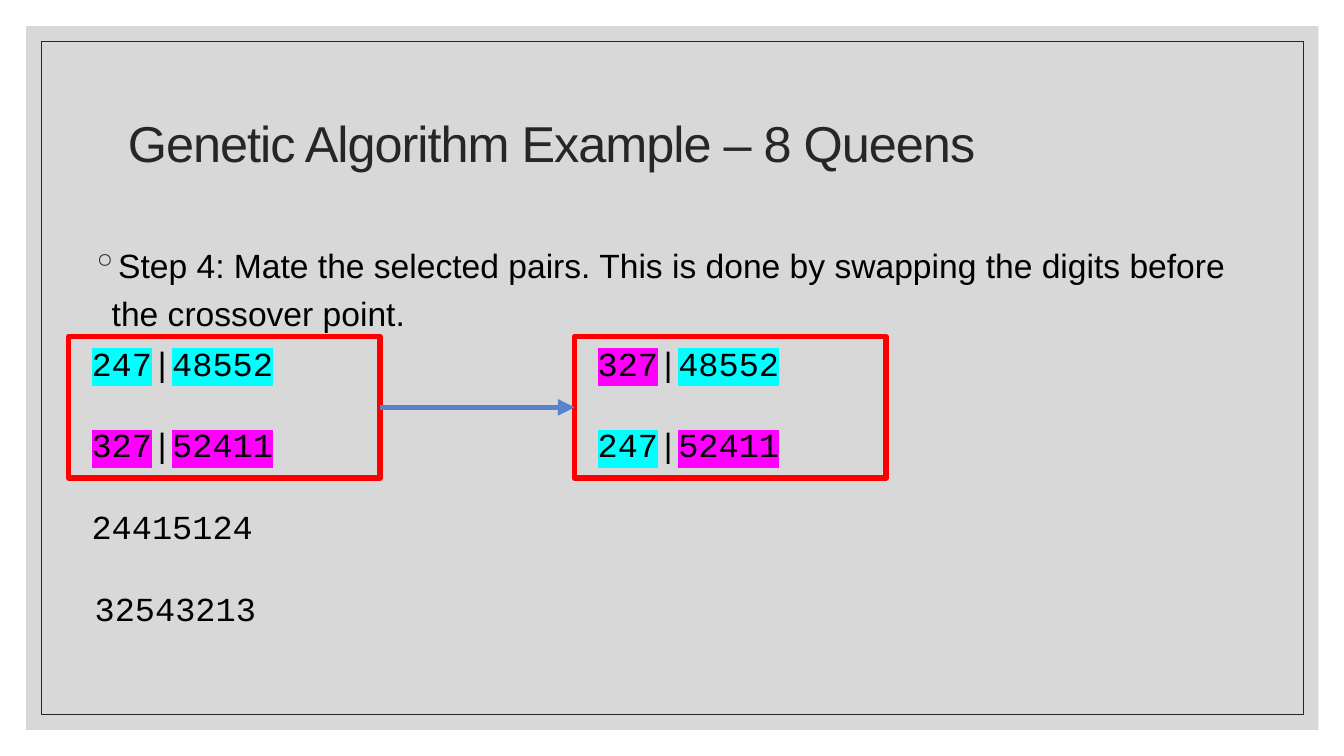
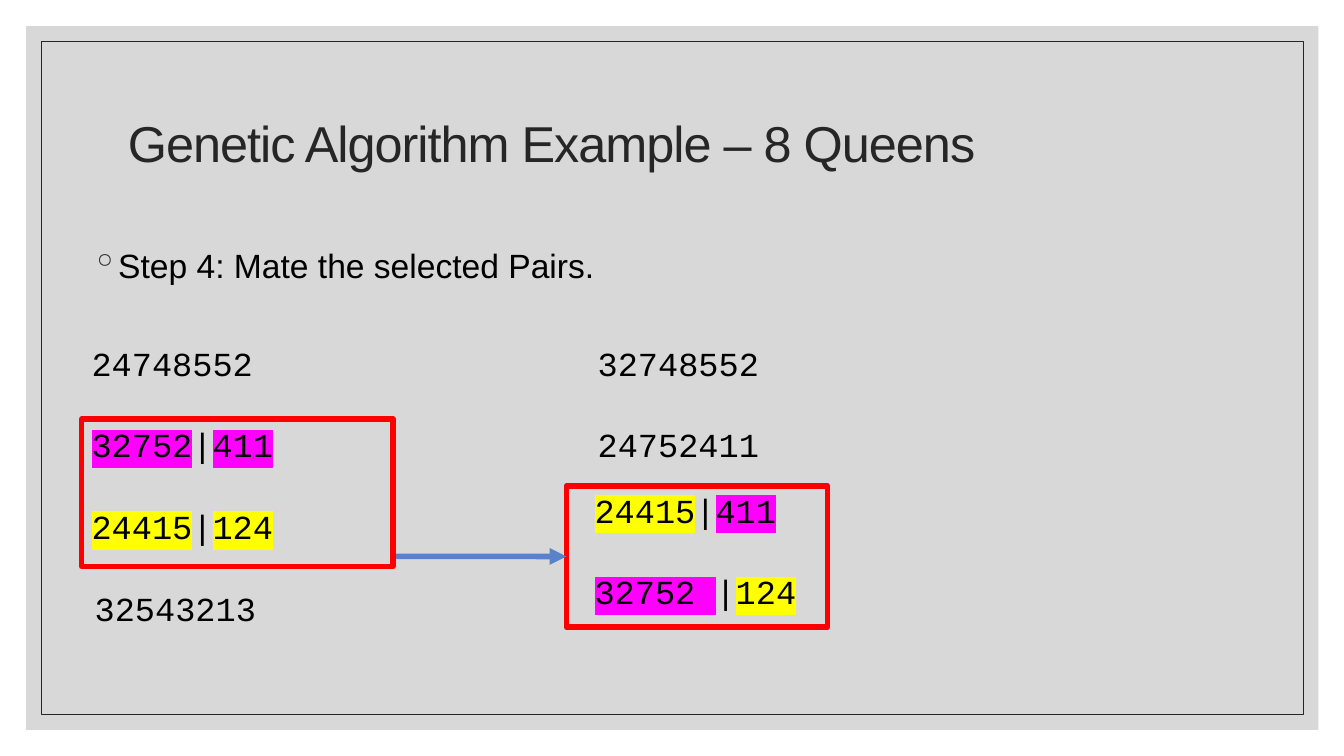
from dataclasses import dataclass
from typing import Any, Optional

import pptx
import pptx.dml.color
import pptx.enum.shapes
import pptx.enum.text
import pptx.oxml
import pptx.oxml.ns
import pptx.util
from pptx.util import Pt


@dataclass(frozen=True)
class Theme:
    ink: str = "262626"
    black: str = "000000"
    panel: str = "BFBFBF"
    red: str = "FF0000"
    arrow: str = "5A82CB"
    cyan: str = "00FFFF"
    magenta: str = "FF00FF"
    yellow: str = "FFFF00"
    sans: str = "Arial"
    mono: str = "Courier New"
    title_size: float = 36
    text_size: float = 24
    heavy_line: float = 4


THEME = Theme()
TITLE = "Genetic Algorithm Example – 8 Queens"
PARENT_LEFT, CHILD_LEFT = 58.3, 419.8
FIRST_ROW, ROW_PITCH = 241.2, 58.3
CHAR_WIDTH, INSETS, ROW_HEIGHT = 14.4, 15.8, 36


@dataclass(frozen=True)
class Segment:
    text: str
    highlight: Optional[str] = None


@dataclass(frozen=True)
class Genes:
    left: float
    top: float
    segments: tuple[Segment, ...]


@dataclass(frozen=True)
class Frame:
    left: float
    top: float
    width: float
    height: float


@dataclass(frozen=True)
class Step:
    text: str
    genes: tuple[Genes, ...]
    parents: Frame
    children: Frame
    arrow_start: Optional[tuple[float, float]] = None  # None: middle of the parents' side


def row(index: int) -> float:
    return FIRST_ROW + index * ROW_PITCH


def plain(left: float, top: float, digits: str) -> Genes:
    return Genes(left, top, (Segment(digits),))


def crossed(left: float, top: float, head: str, head_color: str,
            tail: str, tail_color: str) -> Genes:
    """Digits split by a crossover bar, each side in its own highlight."""
    return Genes(left, top,
                 (Segment(head, head_color), Segment("|"), Segment(tail, tail_color)))


STEPS = (
    Step(
        "Step 4: Mate the selected pairs. This is done by swapping the digits "
        "before the crossover point.",
        (
            crossed(PARENT_LEFT, row(0), "247", THEME.cyan, "48552", THEME.cyan),
            crossed(PARENT_LEFT, row(1), "327", THEME.magenta, "52411", THEME.magenta),
            plain(PARENT_LEFT, row(2), "24415124"),
            plain(60.5, row(3), "32543213"),
            crossed(CHILD_LEFT, row(0), "327", THEME.magenta, "48552", THEME.cyan),
            crossed(CHILD_LEFT, row(1), "247", THEME.cyan, "52411", THEME.magenta),
        ),
        Frame(49, 240.5, 222.5, 101),
        Frame(410.4, 240.5, 222.5, 101),
    ),
    Step(
        "Step 4: Mate the selected Pairs.",
        (
            plain(PARENT_LEFT, row(0), "24748552"),
            crossed(PARENT_LEFT, row(1), "32752", THEME.magenta, "411", THEME.magenta),
            crossed(PARENT_LEFT, row(2), "24415", THEME.yellow, "124", THEME.yellow),
            plain(60.5, row(3), "32543213"),
            plain(CHILD_LEFT, row(0), "32748552"),
            plain(CHILD_LEFT, row(1), "24752411"),
            crossed(417.6, 346.3, "24415", THEME.yellow, "411", THEME.magenta),
            crossed(417.6, 346.3 + ROW_PITCH, "32752 ", THEME.magenta, "124", THEME.yellow),
        ),
        Frame(58.3, 299.5, 222.5, 105.1),
        Frame(404.6, 347, 186.5, 101),
        (283, 397.4),
    ),
)


def rgb(color: str) -> pptx.dml.color.RGBColor:
    return pptx.dml.color.RGBColor.from_string(color)


def add_child(parent: Any, tag: str, **attributes: str) -> Any:
    child = pptx.oxml.parse_xml(f"<a:{tag} {pptx.oxml.ns.nsdecls('a')}/>")
    for name, value in attributes.items():
        child.set(name, value)
    parent.append(child)
    return child


def write(para: Any, text: str, *, size: float = THEME.text_size, font: str = THEME.sans,
          color: str = THEME.black, highlight: Optional[str] = None,
          tracking: Optional[float] = None) -> None:
    """Append one formatted span to a paragraph."""
    span = para.add_run()
    span.text = text
    span.font.size = Pt(size)
    span.font.name = font
    span.font.color.rgb = rgb(color)
    properties = span.font._element
    if tracking is not None:
        properties.set("spc", str(round(tracking * 100)))
    if highlight:
        mark = add_child(properties, "highlight")
        add_child(mark, "srgbClr", val=highlight)
        properties.find(pptx.oxml.ns.qn("a:solidFill")).addnext(mark)


def add_rectangle(page: Any, frame: Frame, *, fill: Optional[str] = None,
                  line: Optional[str] = None, weight: float = THEME.heavy_line) -> Any:
    box = page.shapes.add_shape(
        pptx.enum.shapes.MSO_SHAPE.RECTANGLE,
        Pt(frame.left), Pt(frame.top), Pt(frame.width), Pt(frame.height))
    box.shadow.inherit = False
    if fill:
        box.fill.solid()
        box.fill.fore_color.rgb = rgb(fill)
    else:
        box.fill.background()
    if line:
        box.line.color.rgb = rgb(line)
        box.line.width = Pt(weight)
    else:
        box.line.fill.background()
    return box


def add_backdrop(page: Any) -> None:
    """Put the grey panel and thin border on the page's layout."""
    panel = add_rectangle(page, Frame(18.7, 18.7, 923, 502.6), fill=THEME.panel)
    color = panel.element.spPr.find(".//" + pptx.oxml.ns.qn("a:srgbClr"))
    add_child(color, "alpha", val="60000")
    border = add_rectangle(page, Frame(29.5, 29.5, 901.4, 481), line=THEME.ink, weight=0.5)
    for position, shape in enumerate((panel, border), start=2):
        page.slide_layout.shapes.element.insert(position, shape.element)


def set_title(page: Any) -> None:
    title = page.shapes.title
    title.left, title.top, title.width, title.height = Pt(84.2), Pt(50.4), Pt(792), Pt(108)
    title.text_frame.auto_size = pptx.enum.text.MSO_AUTO_SIZE.NONE
    title.text_frame.vertical_anchor = pptx.enum.text.MSO_ANCHOR.MIDDLE
    para = title.text_frame.paragraphs[0]
    para.alignment = pptx.enum.text.PP_ALIGN.LEFT
    para.line_spacing = 0.9
    write(para, TITLE, size=THEME.title_size, color=THEME.ink, tracking=-0.7)


def add_bullet_text(page: Any, text: str) -> None:
    box = page.shapes.add_textbox(Pt(58.3), Pt(165.6), Pt(838), Pt(303))
    box.text_frame.word_wrap = True
    para = box.text_frame.paragraphs[0]
    para.line_spacing = 1.2
    properties = para._p.get_or_add_pPr()
    indent = Pt(14.4)
    properties.set("marL", str(indent))
    properties.set("indent", str(-indent))
    add_child(add_child(properties, "buClr"), "srgbClr", val=THEME.ink)
    add_child(properties, "buChar", char="◦")
    write(para, text)


def add_genes(page: Any, genes: Genes) -> None:
    length = sum(len(segment.text) for segment in genes.segments)
    box = page.shapes.add_textbox(Pt(genes.left), Pt(genes.top),
                                  Pt(length * CHAR_WIDTH + INSETS), Pt(ROW_HEIGHT))
    box.text_frame.word_wrap = False
    box.text_frame.auto_size = pptx.enum.text.MSO_AUTO_SIZE.SHAPE_TO_FIT_TEXT
    for segment in genes.segments:
        write(box.text_frame.paragraphs[0], segment.text, font=THEME.mono,
              highlight=segment.highlight)


def add_arrow(page: Any, parents: Any, children: Any,
              start: Optional[tuple[float, float]]) -> None:
    left, top = start or (0, 0)
    arrow = page.shapes.add_connector(
        pptx.enum.shapes.MSO_CONNECTOR.STRAIGHT, Pt(left), Pt(top), Pt(left), Pt(top))
    if start is None:
        arrow.begin_connect(parents, 3)
    arrow.end_connect(children, 1)
    arrow.line.color.rgb = rgb(THEME.arrow)
    arrow.line.width = Pt(THEME.heavy_line)
    add_child(arrow.line._get_or_add_ln(), "tailEnd", type="triangle")
    add_child(arrow.element.spPr, "effectLst")


def add_step(page: Any, step: Step) -> None:
    set_title(page)
    add_bullet_text(page, step.text)
    for genes in step.genes:
        add_genes(page, genes)
    parents = add_rectangle(page, step.parents, line=THEME.red)
    children = add_rectangle(page, step.children, line=THEME.red)
    add_arrow(page, parents, children, step.arrow_start)


def main() -> None:
    deck = pptx.Presentation()
    deck.slide_width, deck.slide_height = Pt(960), Pt(540)
    title_only = deck.slide_layouts[5]
    for number, step in enumerate(STEPS):
        page = deck.slides.add_slide(title_only)
        if number == 0:
            add_backdrop(page)
        add_step(page, step)
    deck.save("out.pptx")


if __name__ == "__main__":
    main()
